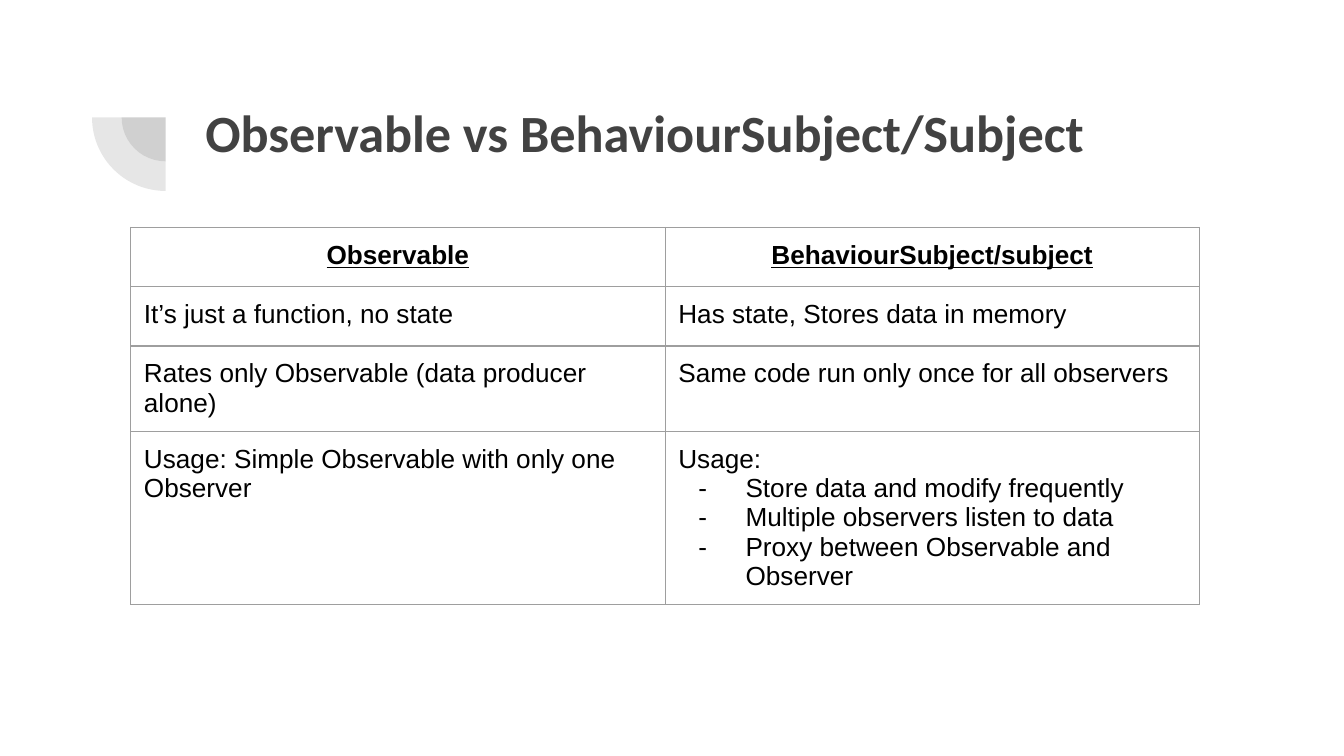
from lxml.etree import SubElement
from pptx import Presentation
from pptx.dml.color import RGBColor
from pptx.enum.shapes import MSO_SHAPE
from pptx.enum.text import MSO_ANCHOR, PP_ALIGN
from pptx.oxml import parse_xml
from pptx.oxml.ns import nsdecls, qn
from pptx.util import Cm, Pt

COLOURS = {"accent": "424242", "text": "000000", "border": "9E9E9E"}
PADDING = Cm(0.25)
HEADING = {"name": "Calibri", "size": Pt(28), "bold": True}
HEADER = {"name": "Arial", "size": Pt(14), "bold": True, "underline": True}
BODY = {"name": "Arial", "size": Pt(14), "bold": False, "underline": False}

# A cell is a list of lines; lines starting with "- " become bullets.
COMPARISON = [
    (["Observable"], ["BehaviourSubject/subject"]),
    (["It’s just a function, no state"], ["Has state, Stores data in memory"]),
    (["Rates only Observable (data producer alone)"],
     ["Same code run only once for all observers"]),
    (["Usage: Simple Observable with only one Observer"],
     ["Usage:",
      "- Store data and modify frequently",
      "- Multiple observers listen to data",
      "- Proxy between Observable and Observer"]),
]


def set_all(target, values):
    for attribute, value in values.items():
        setattr(target, attribute, value)


class SlideBuilder:
    def __init__(self, slide):
        self.slide = slide

    def style_font(self, font, values, colour):
        set_all(font, values)
        font.color.rgb = RGBColor.from_string(COLOURS[colour])

    def title(self, wording, left, top, width, height):
        heading = self.slide.shapes.title
        set_all(heading, {"left": left, "top": top, "width": width, "height": height})
        frame = heading.text_frame
        set_all(frame, {"text": wording, "word_wrap": True, "vertical_anchor": MSO_ANCHOR.TOP,
                        "margin_left": PADDING, "margin_right": PADDING,
                        "margin_top": PADDING, "margin_bottom": PADDING})
        paragraph = frame.paragraphs[0]
        paragraph.alignment = PP_ALIGN.LEFT
        paragraph.line_spacing = 1.0
        self.style_font(paragraph.runs[0].font, HEADING, "accent")

    def quarter_disc(self, centre_x, centre_y, radius):
        """Draw the translucent lower-left quarter of a disc."""
        disc = self.slide.shapes.add_shape(
            MSO_SHAPE.PIE, centre_x - radius, centre_y - radius, 2 * radius, 2 * radius)
        disc.adjustments[0], disc.adjustments[1] = 54, 108  # 90 and 180 degrees
        disc.shadow.inherit = False
        disc.line.fill.background()
        disc.fill.solid()
        disc.fill.fore_color.rgb = RGBColor.from_string(COLOURS["accent"])
        tint = disc.fill._xPr.find(".//" + qn("a:srgbClr"))
        SubElement(tint, qn("a:alpha"), val="13000")

    def table(self, rows, left, top, column_width, row_height):
        columns = len(rows[0])
        grid = self.slide.shapes.add_table(
            len(rows), columns, left, top,
            column_width * columns, row_height * len(rows)).table
        for column in grid.columns:
            column.width = column_width
        for row_number, row in enumerate(rows):
            for column_number, lines in enumerate(row):
                self.cell(grid.cell(row_number, column_number), lines, row_number == 0)

    def cell(self, cell, lines, is_header):
        set_all(cell, {"margin_left": PADDING, "margin_right": PADDING,
                       "margin_top": PADDING, "margin_bottom": PADDING,
                       "vertical_anchor": MSO_ANCHOR.TOP})
        cell.fill.background()
        self.borders(cell)
        cell.text = "\n".join(line.removeprefix("- ") for line in lines)
        for line, paragraph in zip(lines, cell.text_frame.paragraphs):
            paragraph.alignment = PP_ALIGN.CENTER if is_header else PP_ALIGN.LEFT
            self.style_font(paragraph.runs[0].font, HEADER if is_header else BODY, "text")
            if line.startswith("- "):
                self.bullet(paragraph)

    def borders(self, cell):
        properties = cell._tc.get_or_add_tcPr()
        for position, side in enumerate(("lnL", "lnR", "lnT", "lnB")):
            properties.insert(position, parse_xml(
                f'<a:{side} {nsdecls("a")} w="{Pt(0.75)}"><a:solidFill>'
                f'<a:srgbClr val="{COLOURS["border"]}"/></a:solidFill></a:{side}>'))

    def bullet(self, paragraph):
        properties = paragraph._p.get_or_add_pPr()
        properties.set("marL", str(Cm(1.27)))
        properties.set("indent", str(Cm(-0.89)))
        bullet_colour = SubElement(properties, qn("a:buClr"))
        SubElement(bullet_colour, qn("a:srgbClr"), val=COLOURS["text"])
        SubElement(properties, qn("a:buFont"), typeface="Arial")
        SubElement(properties, qn("a:buChar"), char="-")


def main():
    presentation = Presentation()
    set_all(presentation, {"slide_width": Cm(25.4), "slide_height": Cm(14.29)})
    title_only = presentation.slide_layouts[5]
    builder = SlideBuilder(presentation.slides.add_slide(title_only))

    for radius in (Cm(0.83), Cm(1.39)):
        builder.quarter_disc(Cm(3.13), Cm(2.22), radius)
    builder.title("Observable vs BehaviourSubject/Subject",
                  Cm(3.63), Cm(1.65), Cm(20.19), Cm(2.77))
    builder.table(COMPARISON, Cm(2.47), Cm(4.3), Cm(10.1), Cm(1.12))

    presentation.save("out.pptx")


if __name__ == "__main__":
    main()
